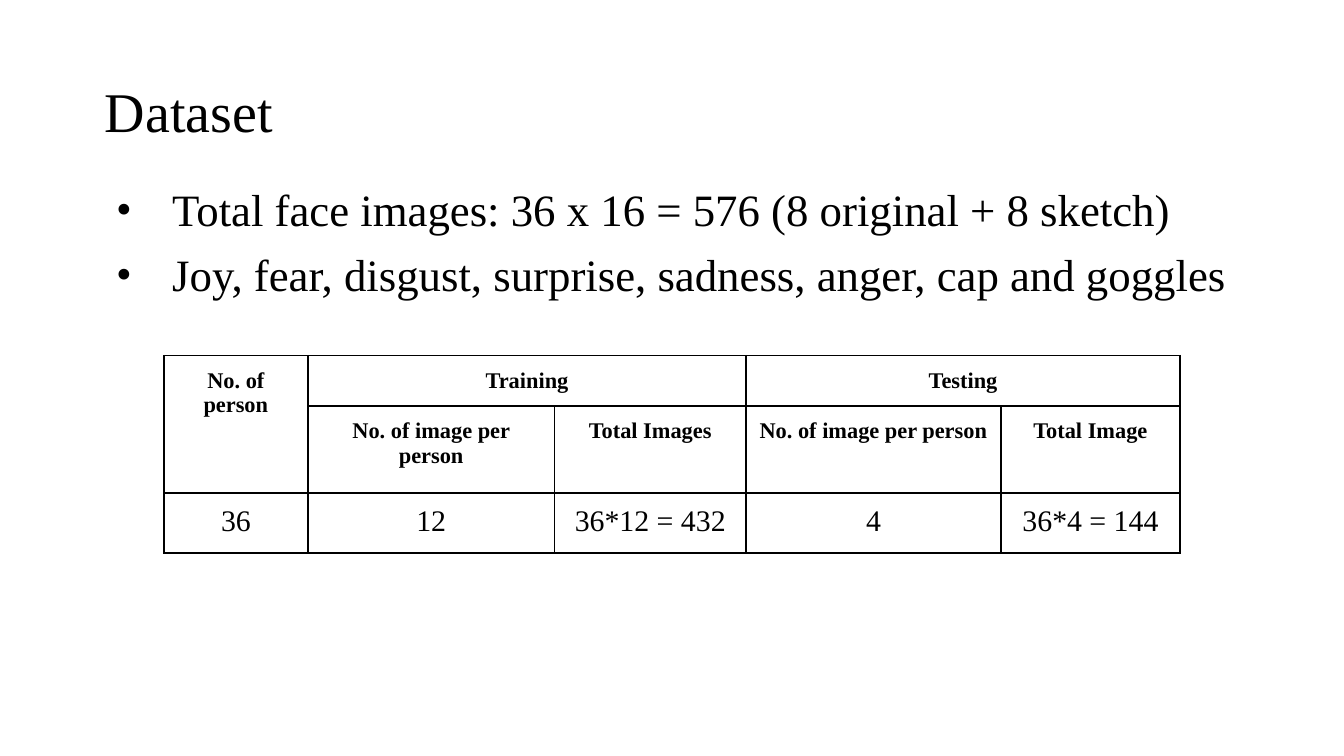
from dataclasses import dataclass

from lxml import etree
from pptx import Presentation
from pptx.dml.color import RGBColor
from pptx.enum import text
from pptx.oxml import ns
from pptx.util import Pt


@dataclass(frozen=True)
class Theme:
    font: str = "Times New Roman"
    ink: str = "000000"
    paper: str = "FFFFFF"
    title: int = 30
    body: int = 24
    head: int = 12
    data: int = 16
    rule: int = 1


THEME = Theme()
SCALE = 9525
LEFT, MID = text.PP_ALIGN.LEFT, text.PP_ALIGN.CENTER
SIDES = ("left", "right", "top", "bottom")
ITEMS = [
    "Total face images: 36 x 16 = 576 (8 original + 8 sketch)",
    "Joy, fear, disgust, surprise, sadness, anger, cap and goggles",
]
COLS = [103, 176, 137, 182, 128]
ROWS = [36, 62, 43]
CELLS = [
    ["No. of person", "Training", "", "Testing", ""],
    ["", "No. of image per person", "Total Images",
     "No. of image per person", "Total Image"],
    ["36", "12", "36*12 = 432", "4", "36*4 = 144"],
]
SPANS = [((0, 0), (1, 0)), ((0, 1), (0, 2)), ((0, 3), (0, 4))]


def px(n):
    return n * SCALE


def apply(item, values):
    for name, value in values.items():
        setattr(item, name, value)


def inset(item, *gaps):
    apply(item, {f"margin_{side}": px(gap) for side, gap in zip(SIDES, gaps)})


def sub(node, tag, **attrs):
    return etree.SubElement(node, ns.qn(tag), attrs)


def write(para, words, size, bold=False, **form):
    apply(para, form)
    run = para.add_run()
    run.text = words
    apply(run.font, {"name": THEME.font, "size": Pt(size), "bold": bold})
    run.font.color.rgb = RGBColor.from_string(THEME.ink)


def place(shape, box, anchor):
    apply(shape, dict(zip(("left", "top", "width", "height"), map(px, box))))
    frame = shape.text_frame
    inset(frame, 9, 9, 9, 9)
    apply(frame, {"word_wrap": True, "vertical_anchor": anchor,
                  "auto_size": text.MSO_AUTO_SIZE.NONE})
    return frame


def title(slide, box):
    frame = place(slide.shapes.title, box, text.MSO_ANCHOR.MIDDLE)
    write(frame.paragraphs[0], "Dataset", THEME.title,
          alignment=LEFT, line_spacing=0.9)


def bullet(para):
    props = para._p.get_or_add_pPr()
    props.set("marL", str(px(48)))
    props.set("indent", str(px(-40)))
    sub(sub(props, "a:buClr"), "a:srgbClr", val=THEME.ink)
    sub(props, "a:buFont", typeface=THEME.font)
    sub(props, "a:buChar", char="•")


def body(slide, box):
    frame = place(slide.placeholders[1], box, text.MSO_ANCHOR.TOP)
    for i, words in enumerate(ITEMS):
        para = frame.add_paragraph() if i else frame.paragraphs[0]
        write(para, words, THEME.body, alignment=LEFT,
              line_spacing=0.9, space_before=Pt(9))
        bullet(para)


def border(cell):
    props = cell._tc.get_or_add_tcPr()
    for i, side in enumerate("LRTB"):
        line = etree.Element(ns.qn(f"a:ln{side}"), w=str(Pt(THEME.rule)))
        sub(sub(line, "a:solidFill"), "a:srgbClr", val=THEME.ink)
        props.insert(i, line)


def table(slide, box):
    grid = slide.shapes.add_table(len(ROWS), len(COLS), *map(px, box)).table
    apply(grid, {"first_row": False, "horz_banding": False})
    for col, wide in zip(grid.columns, COLS):
        col.width = px(wide)
    for row, high in zip(grid.rows, ROWS):
        row.height = px(high)
    for first, last in SPANS:
        grid.cell(*first).merge(grid.cell(*last))
    for r, row in enumerate(CELLS):
        head = r < 2
        for c, words in enumerate(row):
            cell = grid.cell(r, c)
            inset(cell, 7, 7, 9, 9)
            cell.fill.solid()
            cell.fill.fore_color.rgb = RGBColor.from_string(THEME.paper)
            border(cell)
            if words:
                size = THEME.head if head else THEME.data
                write(cell.text_frame.paragraphs[0], words, size, head,
                      alignment=MID)


def main():
    deck = Presentation()
    apply(deck, {"slide_width": px(960), "slide_height": px(540)})
    slide = deck.slides.add_slide(deck.slide_layouts[1])
    title(slide, (66, 29, 828, 105))
    table(slide, (117, 254, sum(COLS), sum(ROWS)))
    body(slide, (66, 125, 828, 343))
    deck.save("out.pptx")


if __name__ == "__main__":
    main()
